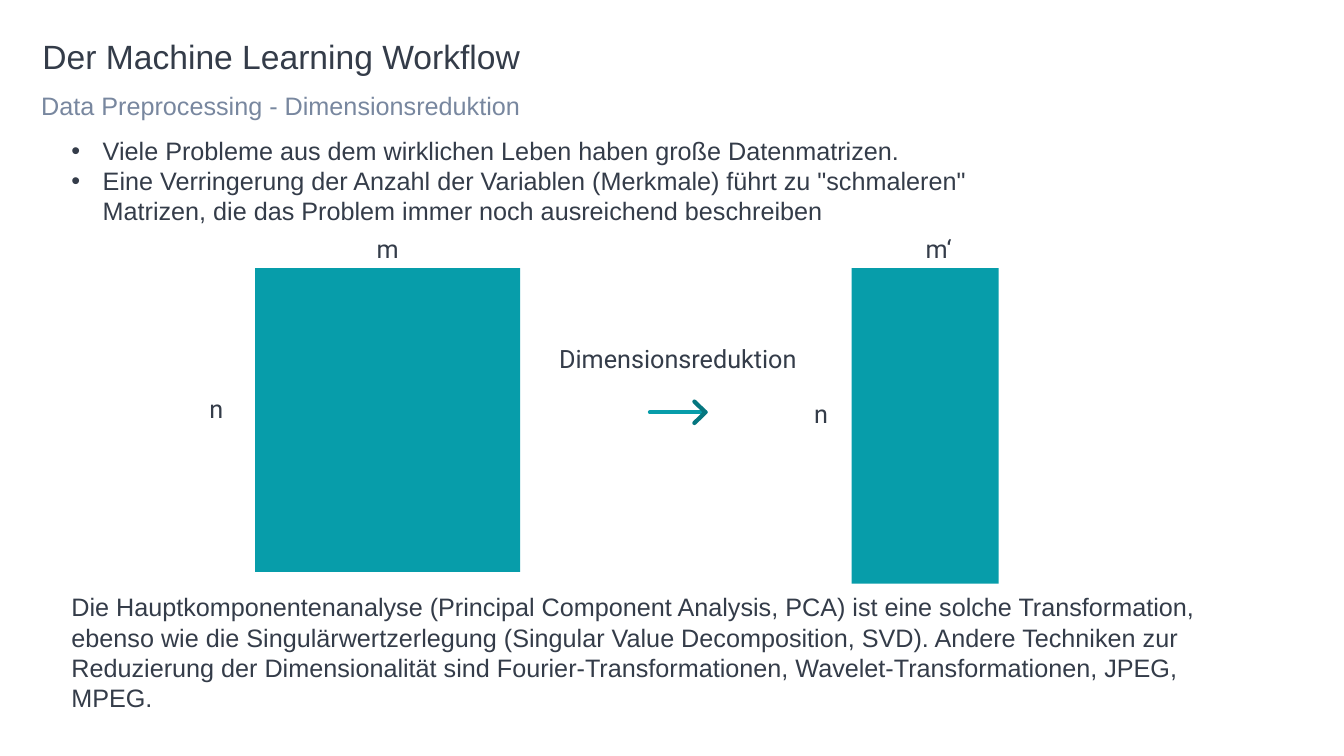
from lxml import etree
from pptx import Presentation
from pptx.dml.color import RGBColor
from pptx.enum import shapes, text as text_enum
from pptx.oxml import ns
from pptx.util import Cm, Pt

DARK = RGBColor(0x34, 0x3C, 0x49)
MUTED = RGBColor(0x78, 0x87, 0x9F)
TEAL = RGBColor(0x07, 0x9D, 0xAA)
DEEP_TEAL = RGBColor(0x05, 0x76, 0x7F)

BODY_INSETS = (0.25, 0.13, 0.25, 0.13)
LABEL_INSETS = (0.5, 0.5, 0.5, 0.5)
MATRIX_TOP = 6.76
ARROW_TIP = (17.78, 10.39)


def add_bullet(paragraph):
    properties = paragraph._p.get_or_add_pPr()
    properties.set("marL", str(Cm(0.79)))
    properties.set("indent", str(Cm(-0.79)))
    font = etree.SubElement(properties, ns.qn("a:buFont"))
    font.set("typeface", "Arial")
    bullet = etree.SubElement(properties, ns.qn("a:buChar"))
    bullet.set("char", "•")


def add_text(slide, content, left, top, width, height, size=18, font="Arial",
             color=DARK, insets=BODY_INSETS, spacing=None, after=None,
             wrap=True, bullets=False):
    shape = slide.shapes.add_textbox(Cm(left), Cm(top), Cm(width), Cm(height))
    frame = shape.text_frame
    frame.word_wrap = wrap
    frame.vertical_anchor = text_enum.MSO_ANCHOR.TOP
    (frame.margin_left, frame.margin_top,
     frame.margin_right, frame.margin_bottom) = map(Cm, insets)
    frame.text = content
    for paragraph in frame.paragraphs:
        if spacing:
            paragraph.line_spacing = spacing
        if after:
            paragraph.space_after = Pt(after)
        if bullets:
            add_bullet(paragraph)
        paragraph.font.size = Pt(size)
        paragraph.font.name = font
        paragraph.font.color.rgb = color


def add_label(slide, content, left, top, width):
    add_text(slide, content, left, top, width, 1.78, font="Roboto",
             insets=LABEL_INSETS, spacing=1.1, wrap=False)


def add_matrix(slide, left, width, height):
    shape = slide.shapes.add_shape(
        shapes.MSO_SHAPE.RECTANGLE,
        Cm(left), Cm(MATRIX_TOP), Cm(width), Cm(height))
    shape.shadow.inherit = False
    shape.fill.solid()
    shape.fill.fore_color.rgb = TEAL
    shape.line.fill.background()


def style_stroke(shape, color):
    shape.line.color.rgb = color
    shape.line.width = Pt(3)
    line = shape.line._ln
    line.set("cap", "rnd")
    etree.SubElement(line, ns.qn("a:round"))


def add_arrow(slide, length, head_length, head_half):
    tip_x, tip_y = ARROW_TIP
    shaft = slide.shapes.add_connector(
        shapes.MSO_CONNECTOR.STRAIGHT,
        Cm(tip_x - length), Cm(tip_y), Cm(tip_x), Cm(tip_y))
    style_stroke(shaft, TEAL)
    etree.SubElement(shaft._element.spPr, ns.qn("a:effectLst"))

    back = Cm(tip_x - head_length)
    builder = slide.shapes.build_freeform(back, Cm(tip_y - head_half))
    builder.add_line_segments(
        [(Cm(tip_x), Cm(tip_y)), (back, Cm(tip_y + head_half))], close=False)
    head = builder.convert_to_shape()
    head.shadow.inherit = False
    head.fill.background()
    style_stroke(head, DEEP_TEAL)


def main():
    presentation = Presentation()
    presentation.slide_width = Cm(33.87)
    presentation.slide_height = Cm(19.05)
    slide = presentation.slides.add_slide(presentation.slide_layouts[6])

    add_text(slide, "Der Machine Learning Workflow", 1.07, 1.02, 31.8, 1.04,
             size=24, insets=(0, 0, 0.25, 0.13), spacing=0.9)
    add_text(slide, "Data Preprocessing - Dimensionsreduktion",
             1.04, 2.06, 31.8, 1.24, color=MUTED,
             insets=(0, 0.13, 0.25, 0.13), spacing=1.1, after=6)
    add_text(slide,
             "Viele Probleme aus dem wirklichen Leben haben große "
             "Datenmatrizen.\n"
             "Eine Verringerung der Anzahl der Variablen (Merkmale) führt zu "
             "\"schmaleren\" Matrizen, die das Problem immer noch "
             "ausreichend beschreiben",
             1.55, 3.28, 23.62, 2.57, bullets=True)
    add_text(slide,
             "Die Hauptkomponentenanalyse (Principal Component Analysis, PCA) "
             "ist eine solche Transformation, ebenso wie die "
             "Singulärwertzerlegung (Singular Value Decomposition, SVD). "
             "Andere Techniken zur Reduzierung der Dimensionalität sind "
             "Fourier-Transformationen, Wavelet-Transformationen, JPEG, MPEG.",
             1.55, 14.78, 28.83, 3.33)

    add_matrix(slide, 6.43, 6.68, 7.65)
    add_matrix(slide, 21.46, 3.71, 7.95)

    add_label(slide, "n", 4.78, 9.42, 1.37)
    add_label(slide, "m", 8.99, 5.38, 1.55)
    add_label(slide, "Dimensionsreduktion", 13.59, 8.15, 6.99)
    add_label(slide, "m‘", 22.83, 5.38, 1.68)
    add_arrow(slide, 1.4, 0.28, 0.27)
    add_label(slide, "n", 20.02, 9.53, 1.37)

    presentation.save("out.pptx")


if __name__ == "__main__":
    main()
